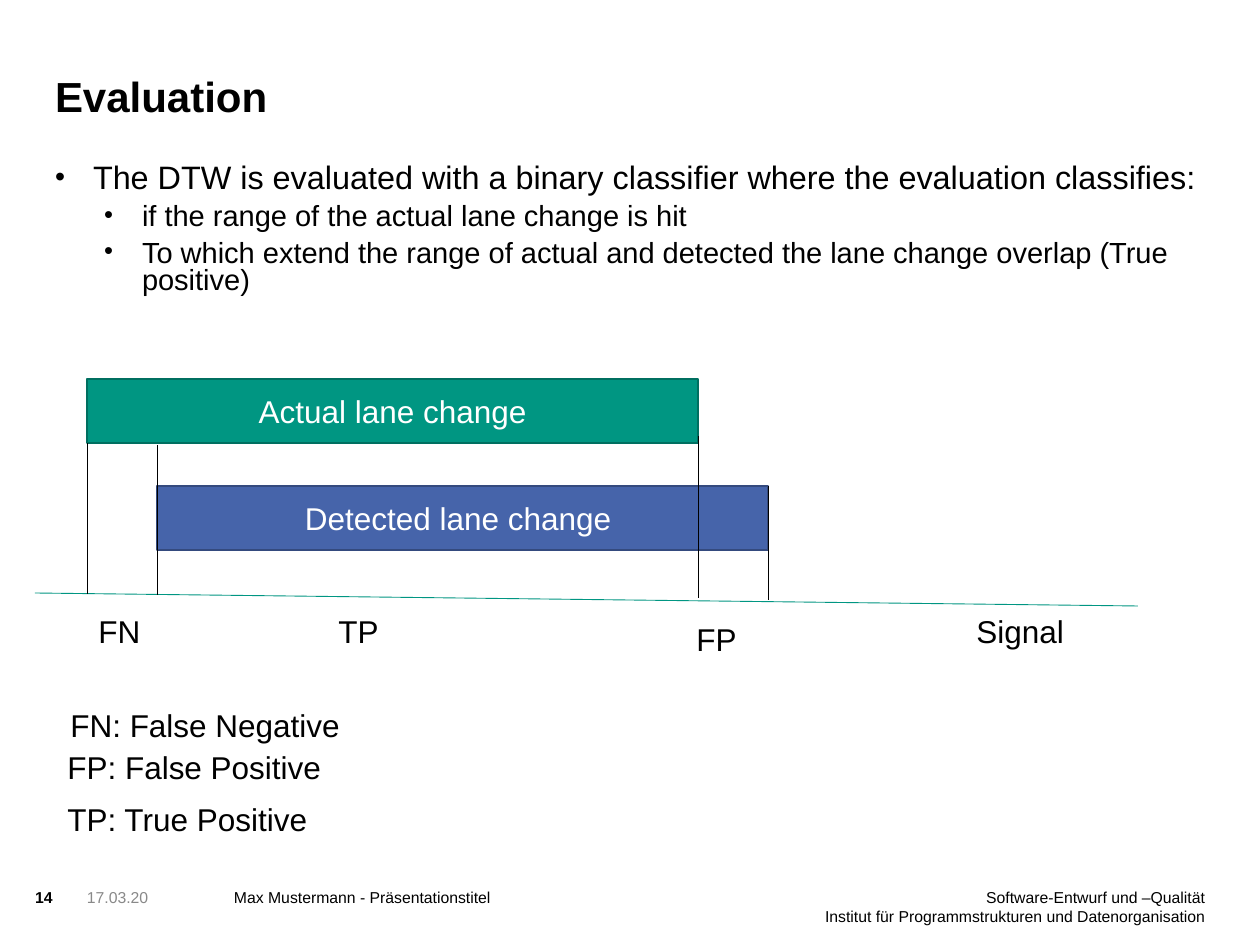
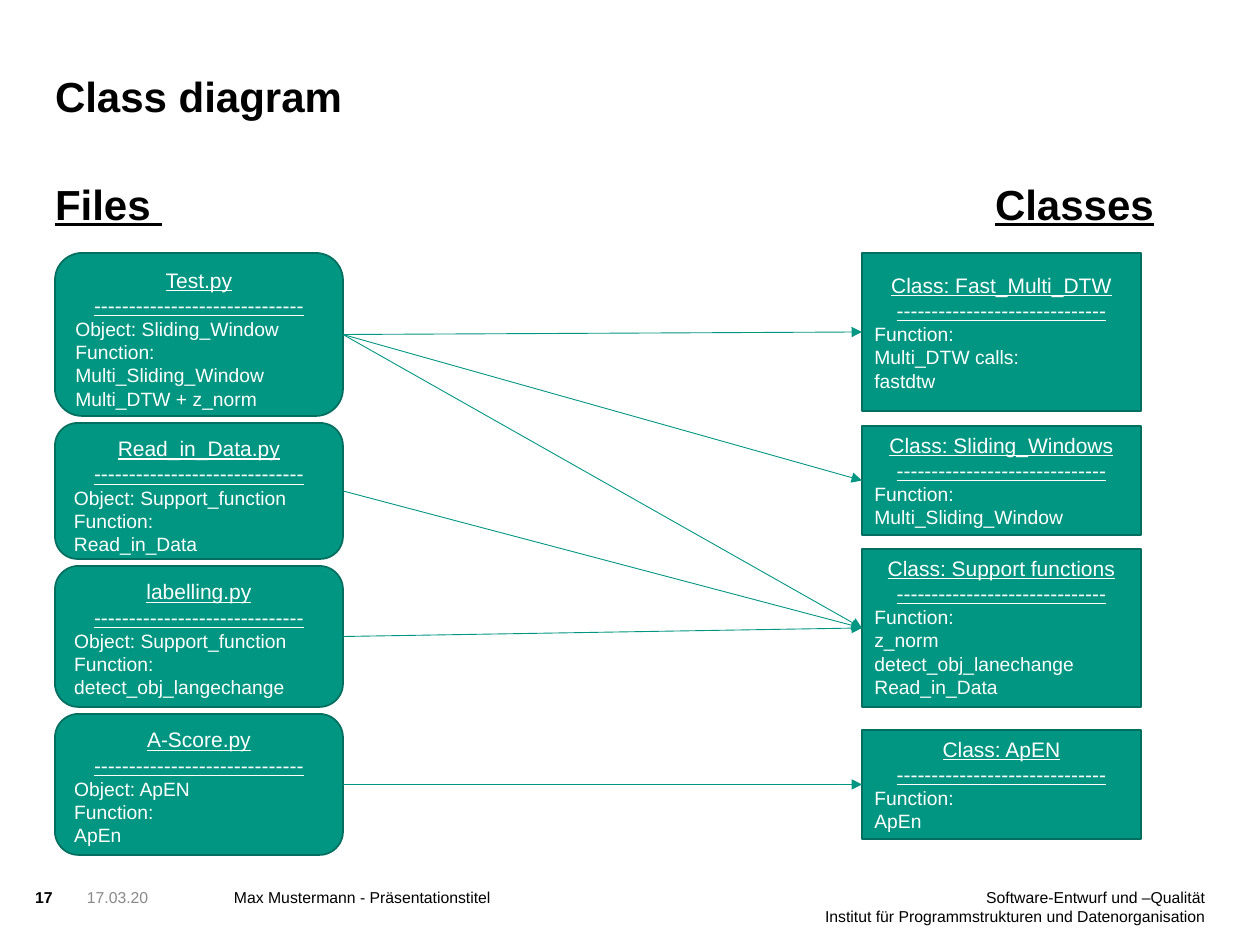
from dataclasses import dataclass

from lxml import etree
from pptx import Presentation
from pptx.dml.color import RGBColor
from pptx.enum.shapes import MSO_CONNECTOR, MSO_SHAPE
from pptx.enum.text import MSO_ANCHOR, MSO_AUTO_SIZE, PP_ALIGN
from pptx.oxml.ns import qn
from pptx.util import Emu, Pt

LEFT, CENTER, RIGHT = PP_ALIGN.LEFT, PP_ALIGN.CENTER, PP_ALIGN.RIGHT
TOP, MIDDLE, BOTTOM = MSO_ANCHOR.TOP, MSO_ANCHOR.MIDDLE, MSO_ANCHOR.BOTTOM
RECTANGLE, ROUNDED = MSO_SHAPE.RECTANGLE, MSO_SHAPE.ROUNDED_RECTANGLE
STRAIGHT = MSO_CONNECTOR.STRAIGHT
NO_AUTOFIT = MSO_AUTO_SIZE.NONE
LEFT_SIDE, RIGHT_SIDE = 1, 3
PX_PER_INCH = 126
TITLE_AND_BODY, TITLE_ONLY = 1, 5


@dataclass(frozen=True)
class Theme:
    font: str = "Arial"
    black: str = "000000"
    white: str = "FFFFFF"
    grey: str = "898989"
    green: str = "009682"
    dark_green: str = "006F60"
    blue: str = "4664AA"
    dark_blue: str = "344A7E"
    title: float = 24
    label: float = 18
    body: tuple = (18.5, 16.6)
    box_head: float = 12
    box_text: float = 11
    footer: float = 9


THEME = Theme()


def px(length):
    return Emu(round(length * 914400 / PX_PER_INCH))


def rgb(color):
    return RGBColor.from_string(color)


# Text
def add_para(frame, text, *, size=THEME.label, color=THEME.black, bold=False,
             underline=False, align=LEFT, spacing=None, before=0, level=0):
    """Fill the first paragraph of an empty frame, or add the next one."""
    para = frame.add_paragraph() if frame.text else frame.paragraphs[0]
    para.alignment, para.level = align, level
    para.space_before = Pt(before)
    if spacing:
        para.line_spacing = spacing
    span = para.add_run()
    span.text = text
    font = span.font
    font.name, font.size = THEME.font, Pt(size)
    font.bold, font.underline = bold, underline
    font.color.rgb = rgb(color)
    return para


def set_frame(frame, anchor=TOP, inset=True):
    frame.word_wrap = True
    frame.auto_size = NO_AUTOFIT
    frame.vertical_anchor = anchor
    if not inset:
        frame.margin_left = frame.margin_right = 0
        frame.margin_top = frame.margin_bottom = 0


def add_text(page, area, lines, *, anchor=TOP, inset=True, **text_format):
    box = page.shapes.add_textbox(*map(px, area))
    set_frame(box.text_frame, anchor, inset)
    for line in lines:
        para = add_para(box.text_frame, line, **text_format)
    return para


def add_bullet(frame, text, level, indent, hanging):
    para = add_para(frame, text, size=THEME.body[level], spacing=0.8,
                    before=4.8, level=level)
    properties = para._p.get_or_add_pPr()
    properties.set("marL", str(px(indent)))
    properties.set("indent", str(-px(hanging)))
    etree.SubElement(properties, qn("a:buSzPct"), val="88000")
    etree.SubElement(properties, qn("a:buFont"), typeface=THEME.font)
    etree.SubElement(properties, qn("a:buChar"), char="•")


# Shapes and lines
def add_box(page, kind, area, fill, outline, anchor=MIDDLE):
    box = page.shapes.add_shape(kind, *map(px, area))
    box.shadow.inherit = False
    box.fill.solid()
    box.fill.fore_color.rgb = rgb(fill)
    box.line.color.rgb = rgb(outline)
    box.line.width = Pt(1)
    set_frame(box.text_frame, anchor)
    return box


def add_line(page, start=(0, 0), end=(0, 0), color=THEME.black):
    line = page.shapes.add_connector(STRAIGHT, *map(px, (*start, *end)))
    line.line.color.rgb = rgb(color)
    line.line.width = Pt(0.5)
    etree.SubElement(line._element.spPr, qn("a:effectLst"))
    return line


def add_arrow(page, source, target):
    arrow = add_line(page, color=THEME.green)
    arrow.begin_connect(source, RIGHT_SIDE)
    arrow.end_connect(target, LEFT_SIDE)
    etree.SubElement(arrow.line._get_or_add_ln(), qn("a:tailEnd"), type="triangle")


def add_code_box(page, kind, area, heading, lines, anchor=TOP):
    box = add_box(page, kind, area, THEME.green, THEME.dark_green, anchor)
    for text in (heading, "-" * 30):
        add_para(box.text_frame, text, size=THEME.box_head, color=THEME.white,
                 underline=True, align=CENTER)
    for text in lines:
        add_para(box.text_frame, text, size=THEME.box_text, color=THEME.white)
    return box


# Shared page frame
def place(holder, area, anchor):
    holder.left, holder.top, holder.width, holder.height = map(px, area)
    set_frame(holder.text_frame, anchor, inset=False)


def add_page(deck, layout, title, number):
    page = deck.slides.add_slide(deck.slide_layouts[layout])
    place(page.shapes.title, (55, 54, 946, 68), BOTTOM)
    add_para(page.shapes.title.text_frame, title, size=THEME.title, bold=True,
             spacing=0.9)
    small = {"inset": False, "size": THEME.footer}
    add_text(page, (818, 888, 387, 50),
             ["Software-Entwurf und –Qualität",
              "Institut für Programmstrukturen und Datenorganisation"],
             align=RIGHT, **small)
    add_text(page, (234, 888, 583, 50), ["Max Mustermann - Präsentationstitel"], **small)
    add_text(page, (87, 888, 141, 50), ["17.03.20"], color=THEME.grey, **small)
    add_text(page, (35, 888, 45, 40), [str(number)], bold=True, **small)
    return page


def build_evaluation(deck):
    page = add_page(deck, TITLE_AND_BODY, "Evaluation", 14)
    body = page.placeholders[1]
    place(body, (55, 165, 1149, 171), TOP)
    for level, text in (
        (0, "The DTW is evaluated with a binary classifier where the evaluation classifies:"),
        (1, "if the range of the actual lane change is hit"),
        (1, "To which extend the range of actual and detected the lane change overlap "
            "(True positive)"),
    ):
        add_bullet(body.text_frame, text, level, indent=38 + 49 * level, hanging=38)

    # Overlapping ranges
    actual_left, detected_left, bar_width, bar_height = 87, 157, 611, 64
    for left, top, text, fill, outline in (
        (actual_left, 379, "Actual lane change", THEME.green, THEME.dark_green),
        (detected_left, 486, "Detected lane change ", THEME.blue, THEME.dark_blue),
    ):
        bar = add_box(page, RECTANGLE, (left, top, bar_width, bar_height), fill, outline)
        add_para(bar.text_frame, text, color=THEME.white, align=CENTER)

    # Signal axis and range limits
    add_line(page, (35, 593), (1138, 606), THEME.green)
    for x, top, bottom in (
        (actual_left, 443, 594),
        (detected_left, 445, 595),
        (actual_left + bar_width, 436, 598),
        (detected_left + bar_width, 486, 600),
    ):
        add_line(page, (x, top), (x, bottom))

    # Range labels and legend
    for left, top, width, text in (
        (964, 606, 174, "Signal"),
        (326, 606, 212, "TP"),
        (86, 606, 256, "FN"),
        (684, 614, 256, "FP"),
        (58, 700, 301, "FN: False Negative"),
        (55, 742, 301, "FP: False Positive"),
        (55, 794, 301, "TP: True Positive"),
    ):
        add_text(page, (left, top, width, 50), [text])


def build_class_diagram(deck):
    page = add_page(deck, TITLE_ONLY, "Class diagram", 17)
    heading = add_text(page, (55, 161, 1125, 68), ["Files \tClasses"], anchor=BOTTOM,
                       inset=False, size=THEME.title, bold=True, underline=True,
                       spacing=0.9)
    tabs = etree.SubElement(heading._p.get_or_add_pPr(), qn("a:tabLst"))
    etree.SubElement(tabs, qn("a:tab"), pos=str(px(940)), algn="l")

    # Files, stacked with equal gaps
    files, top, gap = [], 253, 7
    for height, name, lines in (
        (163, "Test.py", ("Object: Sliding_Window", "Function: Multi_Sliding_Window",
                          "Multi_DTW + z_norm")),
        (136, "Read_in_Data.py", ("Object: Support_function", "Function:",
                                  "Read_in_Data")),
        (141, "labelling.py", ("Object: Support_function", "Function:",
                               "detect_obj_langechange")),
        (141, "A-Score.py", ("Object: ApEN", "Function:", "ApEn")),
    ):
        files.append(add_code_box(page, ROUNDED, (55, top, 288, height), name, lines))
        top += height + gap

    # Classes
    classes = [
        add_code_box(page, RECTANGLE, (862, top, 279, height), f"Class: {name}",
                     ("Function:", *lines), anchor)
        for top, height, name, lines, anchor in (
            (253, 158, "Fast_Multi_DTW", ("Multi_DTW calls:", "fastdtw"), MIDDLE),
            (426, 109, "Sliding_Windows", ("Multi_Sliding_Window",), TOP),
            (549, 158, "Support functions",
             ("z_norm", "detect_obj_lanechange", "Read_in_Data"), TOP),
            (730, 109, "ApEN", ("ApEn",), TOP),
        )
    ]

    # Which file uses which class
    test, reader, labelling, score = files
    multi_dtw, windows, support, entropy = classes
    for source, target in (
        (test, multi_dtw), (test, windows), (reader, support),
        (test, support), (labelling, support), (score, entropy),
    ):
        add_arrow(page, source, target)


def main():
    deck = Presentation()
    deck.slide_width, deck.slide_height = px(1260), px(945)
    build_evaluation(deck)
    build_class_diagram(deck)
    deck.save("out.pptx")


if __name__ == "__main__":
    main()
